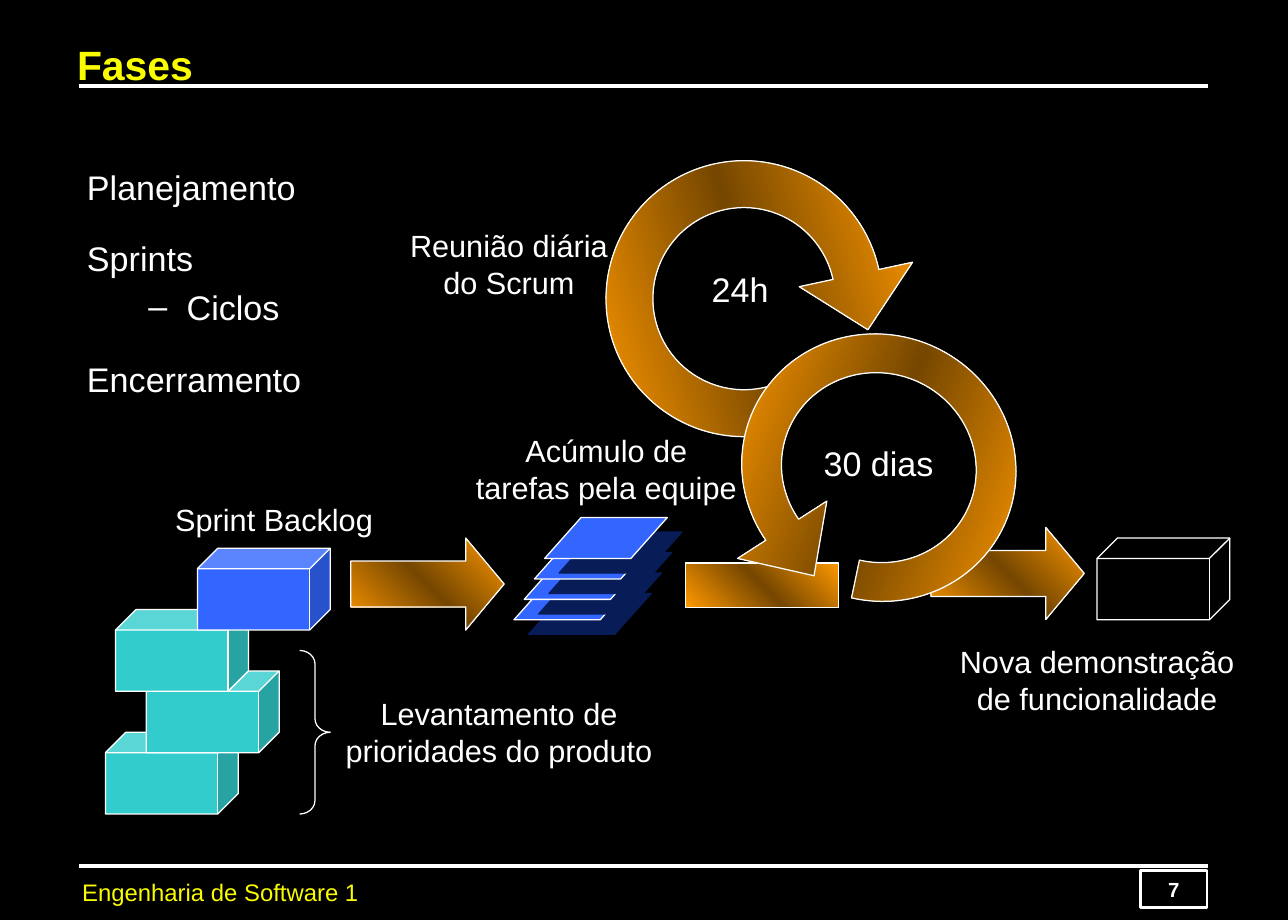
import copy
import math

from lxml import etree
from pptx import Presentation
from pptx.dml.color import RGBColor
from pptx.enum.shapes import MSO_CONNECTOR, MSO_SHAPE
from pptx.enum.text import MSO_ANCHOR, MSO_AUTO_SIZE, PP_ALIGN
from pptx.oxml.ns import qn
from pptx.util import Pt

LEFT, CENTER = PP_ALIGN.LEFT, PP_ALIGN.CENTER
TOP, MIDDLE, BOTTOM = MSO_ANCHOR.TOP, MSO_ANCHOR.MIDDLE, MSO_ANCHOR.BOTTOM
NO_AUTOFIT = MSO_AUTO_SIZE.NONE
STRAIGHT = MSO_CONNECTOR.STRAIGHT
RECTANGLE, CUBE = MSO_SHAPE.RECTANGLE, MSO_SHAPE.CUBE
RIGHT_ARROW, RIGHT_BRACE = MSO_SHAPE.RIGHT_ARROW, MSO_SHAPE.RIGHT_BRACE
PARALLELOGRAM = MSO_SHAPE.PARALLELOGRAM

FONT = "Arial"
COLORS = {
    "background": "000000",
    "white": "FFFFFF",
    "yellow": "FAFD00",
    "teal": "33CCCC",
    "blue": "3366FF",
    "navy": "081D58",
    "orange": "FF9900",
    "brown": "764700",
}
CUBE_WIDTH, CUBE_HEIGHT = 78, 48
ARROW_WIDTH, ARROW_HEIGHT = 90, 54
ARC_PIECES = 4


def color(name):
    return RGBColor.from_string(COLORS[name])


def write_text(frame, lines, size=18, tint="white", bold=False, align=CENTER,
               anchor=TOP, wrap=True, gaps=None):
    frame.auto_size = NO_AUTOFIT
    frame.word_wrap = wrap
    frame.vertical_anchor = anchor
    frame.margin_left = frame.margin_right = Pt(7.2)
    frame.margin_top = frame.margin_bottom = Pt(3.6)
    for i, line in enumerate(lines):
        paragraph = frame.paragraphs[0] if i == 0 else frame.add_paragraph()
        paragraph.text = line
        paragraph.alignment = align
        paragraph.space_before = Pt(gaps[i] if gaps else 0)
        for run in paragraph.runs:
            run.font.name = FONT
            run.font.size = Pt(size)
            run.font.bold = bold
            run.font.color.rgb = color(tint)


def add_label(slide, box, *lines, **style):
    label = slide.shapes.add_textbox(*map(Pt, box))
    write_text(label.text_frame, lines, **style)
    return label


def fill_gradient(shape, angle):
    shape.fill.gradient()
    for position, stop in enumerate(shape.fill.gradient_stops):
        stop.color.rgb = color("orange")
        stop.position = position
    stop_list = shape._element.spPr.find(qn("a:gradFill")).find(qn("a:gsLst"))
    stop_list.insert(1, copy.deepcopy(stop_list[0]))
    middle = shape.fill.gradient_stops[1]
    middle.color.rgb = color("brown")
    middle.position = 0.5
    shape.fill.gradient_angle = angle


def paint(shape, fill=None, gradient=None, weight=0.75):
    shape.shadow.inherit = False
    if gradient is not None:
        fill_gradient(shape, gradient)
    elif fill:
        shape.fill.solid()
        shape.fill.fore_color.rgb = color(fill)
    else:
        shape.fill.background()
    shape.line.color.rgb = color("white")
    shape.line.width = Pt(weight)


def add_preset(slide, kind, box, adjustments=(), **style):
    shape = slide.shapes.add_shape(kind, *map(Pt, box))
    for i, value in enumerate(adjustments):
        shape.adjustments[i] = value
    paint(shape, **style)
    return shape


def add_cube(slide, x, y, fill=None):
    add_preset(slide, CUBE, (x, y, CUBE_WIDTH, CUBE_HEIGHT), [0.25], fill=fill)


def add_arrow(slide, x, y):
    add_preset(slide, RIGHT_ARROW, (x, y, ARROW_WIDTH, ARROW_HEIGHT),
               [0.5, 0.417], gradient=45)


def add_rule(slide, x, y, width):
    rule = slide.shapes.add_connector(STRAIGHT, Pt(x), Pt(y), Pt(x + width), Pt(y))
    rule.line.color.rgb = color("white")
    rule.line.width = Pt(2)
    etree.SubElement(rule._element.spPr, qn("a:effectLst"))


def add_hard_shadow(shape):
    effects = shape._element.spPr.find(qn("a:effectLst"))
    shadow = etree.SubElement(effects, qn("a:outerShdw"), blurRad="0",
                              dist=str(Pt(12.1)), dir="2700000", algn="ctr",
                              rotWithShape="0")
    etree.SubElement(shadow, qn("a:srgbClr"), val=COLORS["navy"])


def curve_lines(shape, first_lines):
    outline = next(shape._element.iter(qn("a:path")))
    lines = outline.findall(qn("a:lnTo"))
    for first in first_lines:
        curve = etree.Element(qn("a:cubicBezTo"))
        lines[first].addprevious(curve)
        for line in lines[first:first + 3]:
            curve.append(line[0])
            outline.remove(line)


def add_cycle(slide, box, end, inner, rotation, gradient, mirror=1):
    x, y, width, height = box
    turn = math.radians(rotation)
    start, outer, head_outer, head_length = 102, 1, 1.25, 0.41
    head_inner = inner + outer - head_outer

    def place(radius, degrees, ahead=0):
        angle = math.radians(degrees)
        across = mirror * (radius * math.cos(angle) - ahead * math.sin(angle)) * width / 2
        down = (radius * math.sin(angle) + ahead * math.cos(angle)) * height / 2
        return (Pt(x + width / 2 + across * math.cos(turn) - down * math.sin(turn)),
                Pt(y + height / 2 + across * math.sin(turn) + down * math.cos(turn)))

    def arc(radius, begin, finish):
        step = (finish - begin) / ARC_PIECES
        handle = radius * 4 / 3 * math.tan(math.radians(step) / 4)
        points = []
        for i in range(ARC_PIECES):
            here = begin + step * i
            points += [place(radius, here, handle),
                       place(radius, here + step, -handle),
                       place(radius, here + step)]
        return points

    outline = arc(outer, start, end)
    outline += [place(head_outer, end),
                place((head_inner + head_outer) / 2, end, head_length),
                place(head_inner, end),
                place(inner, end)]
    inner_first = len(outline)
    outline += arc(inner, end, start)
    builder = slide.shapes.build_freeform(*place(outer, start))
    builder.add_line_segments(outline, close=True)
    cycle = builder.convert_to_shape()
    curve_lines(cycle, [base + 3 * i for base in (0, inner_first)
                        for i in range(ARC_PIECES)])
    paint(cycle, gradient=gradient)


def draw_header(slide, box):
    x, y, width, height = box
    title = slide.shapes.title
    title.left, title.top, title.width, title.height = map(Pt, (x - 8.3, y, 702, height))
    write_text(title.text_frame, ["Fases"], size=24, tint="yellow", bold=True,
               align=LEFT, anchor=BOTTOM)
    add_rule(slide, x, y + 21, width)


def draw_footer(slide, box):
    x, y, width, height = box
    add_rule(slide, x, y, width)
    add_label(slide, (x - 5.2, y + 3.3, 356, height), "Engenharia de Software 1",
              size=14, tint="yellow", align=LEFT)
    number = add_preset(slide, RECTANGLE, (x + width - 39.5, y + 2.7, 39, 21.6),
                        fill="background", weight=1.5)
    write_text(number.text_frame, ["7"], size=12, bold=True, anchor=MIDDLE)


def draw_phases(slide, box):
    phases = add_label(slide, box, "Planejamento", "Sprints", "Ciclos", "Encerramento",
                       size=20, align=LEFT, gaps=[0, 17.6, 5, 18])
    cycles = phases.text_frame.paragraphs[2]
    cycles.level = 1
    properties = cycles._p.get_or_add_pPr()
    properties.set("marL", str(Pt(58.5)))
    properties.set("indent", str(-Pt(22.5)))
    etree.SubElement(properties, qn("a:buFont"), typeface=FONT)
    etree.SubElement(properties, qn("a:buChar"), char="–")


def draw_flow(slide, box):
    x, y, width, height = box
    add_preset(slide, RECTANGLE, (x + 196.5, y + 20.8, ARROW_WIDTH, 26), gradient=45)
    add_arrow(slide, x + 340.5, y)
    add_arrow(slide, x, y + 6.2)
    add_cube(slide, x + width - CUBE_WIDTH, y + 6.2)
    add_label(slide, (x + 342, y + 64.2, 192, height - 64),
              "Nova demonstração de funcionalidade")


def draw_cycles(slide, box):
    x, y, width, height = box
    add_cycle(slide, (x, y, 162, 162), 376, 0.66, -28.2, 17)
    add_cycle(slide, (x + width - 162, y + height - 156, 162, 156), 418, 0.71,
              24.3, 339, mirror=-1)
    add_label(slide, (x + 54.7, y + 60, 48, 32), "24h", size=20, wrap=False)
    add_label(slide, (x + 120.5, y + 162, 79, 32), "30 dias", size=20, wrap=False)
    add_label(slide, (x - 132, y + 35.5, 150, 50), "Reunião diária do Scrum")


def draw_backlog(slide, box):
    x, y, width, height = box
    bottom = y + height - CUBE_HEIGHT
    stack = [(0, "teal"), (24, "teal"), (6, "teal"), (54, "blue")]
    for i, (shift, fill) in enumerate(stack):
        add_cube(slide, x + shift, bottom - 36 * i, fill)
    add_preset(slide, RIGHT_BRACE, (x + 114, y + height - 96, 18, 96), [0.44, 0.5])
    add_label(slide, (x + 114, y + 82.8, width - 114, 50),
              "Levantamento de prioridades do produto")
    add_label(slide, (x + 24, y - 31.6, 150, 29), "Sprint Backlog")


def draw_tasks(slide, box):
    x, y, width, height = box
    for i in range(4):
        sheet = add_preset(slide, PARALLELOGRAM,
                           (x + 6 * i, y + height - 24 - 12 * i, 72, 24),
                           [0.89], fill="blue")
        add_hard_shadow(sheet)
    add_label(slide, (x - 29.8, y - 54, 168, 50), "Acúmulo de tarefas pela equipe")


def main():
    deck = Presentation()
    deck.slide_width, deck.slide_height = Pt(756), Pt(540)
    slide = deck.slides.add_slide(deck.slide_layouts[5])
    slide.background.fill.solid()
    slide.background.fill.fore_color.rgb = color("background")
    draw_header(slide, (46.3, 29.5, 662.7, 26))
    draw_footer(slide, (46.3, 508.3, 662.7, 24.5))
    draw_phases(slide, (44, 94.2, 200, 150))
    draw_flow(slide, (205.9, 309.6, 516, 114))
    draw_cycles(slide, (355.7, 94.3, 241.2, 258.2))
    draw_backlog(slide, (61.9, 321.8, 348, 156))
    draw_tasks(slide, (301.7, 303.8, 90, 60))
    deck.save("out.pptx")


if __name__ == "__main__":
    main()
